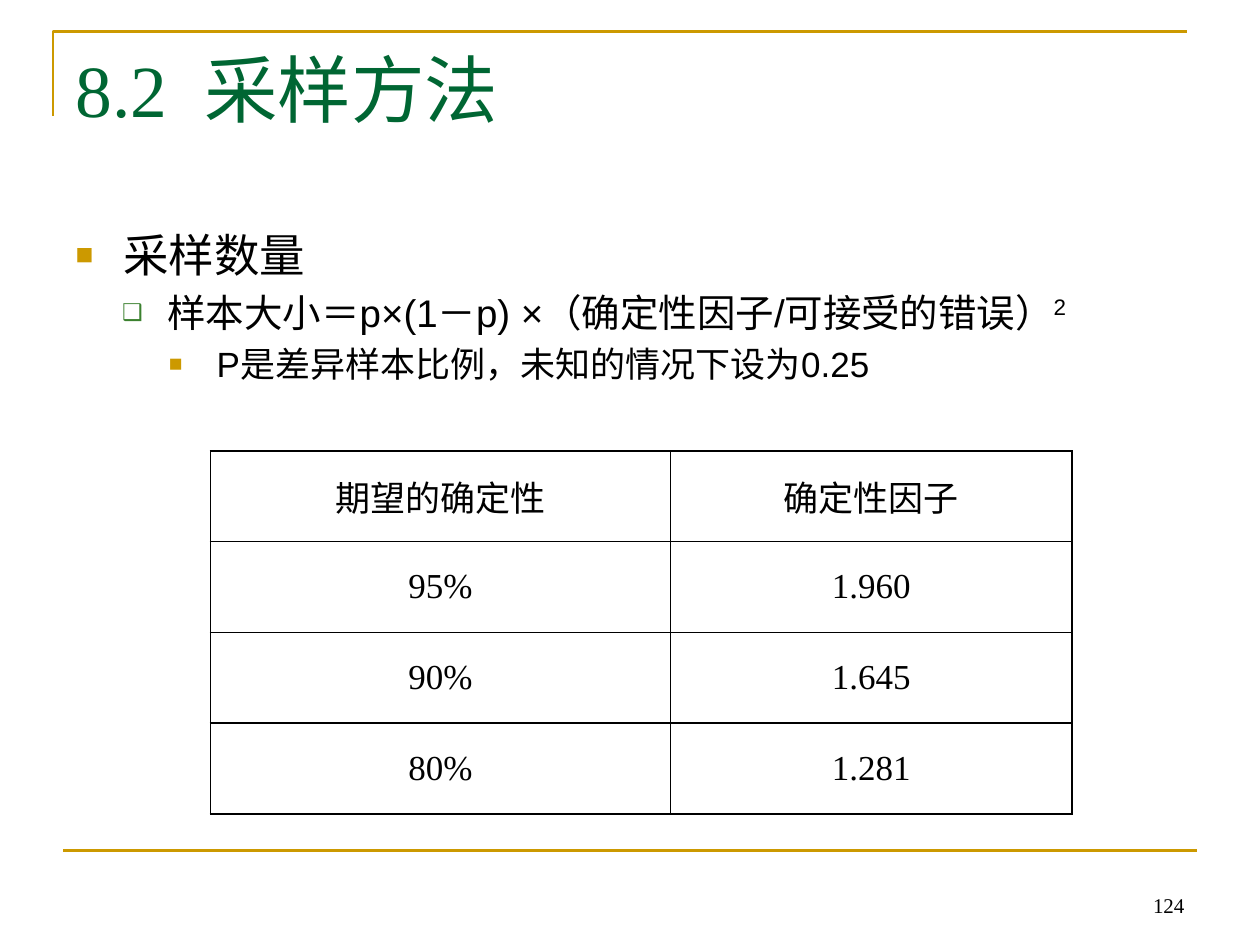
from lxml.etree import SubElement
from pptx import Presentation
from pptx.dml.color import RGBColor
from pptx.enum.shapes import MSO_CONNECTOR as Connector
from pptx.enum.text import MSO_ANCHOR as Anchor, MSO_AUTO_SIZE as AutoSize, PP_ALIGN as Align
from pptx.oxml import parse_xml
from pptx.oxml.ns import nsdecls, qn
from pptx.util import Inches, Pt


def color(value):
    return RGBColor.from_string(value)


class SamplingSlide:
    """Holds the slide and its style, and adds each kind of element."""

    GOLD, GREEN, LEAF, BLACK = "CC9900", "006633", "3B812F", "000000"
    SERIF, SANS = "Times New Roman", "Arial"
    LEVELS = [
        (0.38, -0.38, "■", GOLD, 65, 26),
        (0.73, -0.36, "❑", LEAF, 60, 22),
        (1.12, -0.38, "■", GOLD, 65, 20),
    ]

    def __init__(self, deck):
        self.slide = deck.slides.add_slide(deck.slide_layouts[1])
        self.shapes = self.slide.shapes

    def place(self, shape, left, top, width, height, anchor=Anchor.TOP):
        shape.left, shape.top = Inches(left), Inches(top)
        shape.width, shape.height = Inches(width), Inches(height)
        frame = shape.text_frame
        frame.word_wrap = True
        frame.auto_size = AutoSize.NONE
        frame.vertical_anchor = anchor
        return frame

    def run(self, paragraph, text, size, font, fill=BLACK, **attributes):
        run = paragraph.add_run()
        run.text = text
        run.font.size, run.font.name = Pt(size), font
        run.font.color.rgb = color(fill)
        for name, value in attributes.items():
            run.font._element.set(name, str(value))

    def stroke(self, line):
        line.color.rgb = color(self.GOLD)
        line.width = Pt(1.5)

    def corner(self, left, top, right, bottom):
        builder = self.shapes.build_freeform(Inches(left), Inches(bottom))
        builder.add_line_segments(
            [(Inches(left), Inches(top)), (Inches(right), Inches(top))], close=False)
        bracket = builder.convert_to_shape()
        bracket.shadow.inherit = False
        bracket.fill.background()
        self.stroke(bracket.line)

    def rule(self, left, right, y):
        rule = self.shapes.add_connector(
            Connector.STRAIGHT, Inches(left), Inches(y), Inches(right), Inches(y))
        self.stroke(rule.line)
        SubElement(rule._element.spPr, qn("a:effectLst"))

    def title(self, number, name):
        frame = self.place(self.shapes.title, 0.5, 0.3, 9, 1.25)
        heading = frame.paragraphs[0]
        heading.alignment = Align.LEFT
        self.run(heading, number, 42, self.SERIF, self.GREEN)
        self.run(heading, " ", 42, self.SERIF, self.GREEN, spc=1050)
        self.run(heading, name, 42, self.SERIF, self.GREEN)

    def bullets(self, items):
        frame = self.place(self.slide.placeholders[1], 0.5, 1.75, 9.08, 4.95)
        for level, (text, power) in enumerate(items):
            item = frame.add_paragraph() if level else frame.paragraphs[0]
            item.level = level
            margin, indent, mark, mark_color, scale, size = self.LEVELS[level]
            props = item._p.get_or_add_pPr()
            props.set("marL", str(Inches(margin)))
            props.set("indent", str(Inches(indent)))
            SubElement(SubElement(props, qn("a:buClr")), qn("a:srgbClr"), val=mark_color)
            SubElement(props, qn("a:buSzPct"), val=str(scale * 1000))
            SubElement(props, qn("a:buChar"), char=mark)
            self.run(item, text, size, self.SANS)
            if power:
                self.run(item, power, size, self.SANS, baseline=30000)

    def table(self, rows, left, top, widths, row_height):
        frame = self.shapes.add_table(
            len(rows), len(widths), Inches(left), Inches(top),
            Inches(sum(widths)), Inches(row_height * len(rows)))
        table = frame.table
        table.first_row = table.horz_banding = False
        for column, width in zip(table.columns, widths):
            column.width = Inches(width)
        for r, row in enumerate(rows):
            for c, text in enumerate(row):
                self.cell(table.cell(r, c), text)

    def cell(self, cell, text):
        cell.fill.background()
        cell.vertical_anchor = Anchor.MIDDLE
        paragraph = cell.text_frame.paragraphs[0]
        paragraph.alignment = Align.CENTER
        self.run(paragraph, text, 20, self.SERIF)
        props = cell._tc.get_or_add_tcPr()
        for position, side in enumerate("LRTB"):
            props.insert(position, parse_xml(
                f'<a:ln{side} {nsdecls("a")} w="{Pt(1)}"><a:solidFill>'
                f'<a:srgbClr val="{self.BLACK}"/></a:solidFill></a:ln{side}>'))

    def page_number(self, number):
        box = self.shapes.add_textbox(0, 0, 0, 0)
        frame = self.place(box, 7.17, 6.83, 2.33, 0.5, Anchor.BOTTOM)
        frame.paragraphs[0].alignment = Align.RIGHT
        self.run(frame.paragraphs[0], number, 12, self.SERIF)


def main():
    deck = Presentation()
    deck.slide_width, deck.slide_height = Inches(10), Inches(7.5)
    page = SamplingSlide(deck)
    page.corner(0.42, 0.25, 9.42, 0.92)
    page.rule(0.5, 9.5, 6.75)
    page.title("8.2", "采样方法")
    page.bullets([
        ("采样数量", ""),
        ("样本大小＝p×(1－p) ×（确定性因子/可接受的错误）", "2"),
        ("P是差异样本比例，未知的情况下设为0.25", ""),
    ])
    certainty_factors = [
        ("期望的确定性", "确定性因子"),
        ("95%", "1.960"),
        ("90%", "1.645"),
        ("80%", "1.281"),
    ]
    page.table(certainty_factors, 1.67, 3.58, (3.65, 3.19), 0.72)
    page.page_number("124")
    deck.save("out.pptx")


if __name__ == "__main__":
    main()
